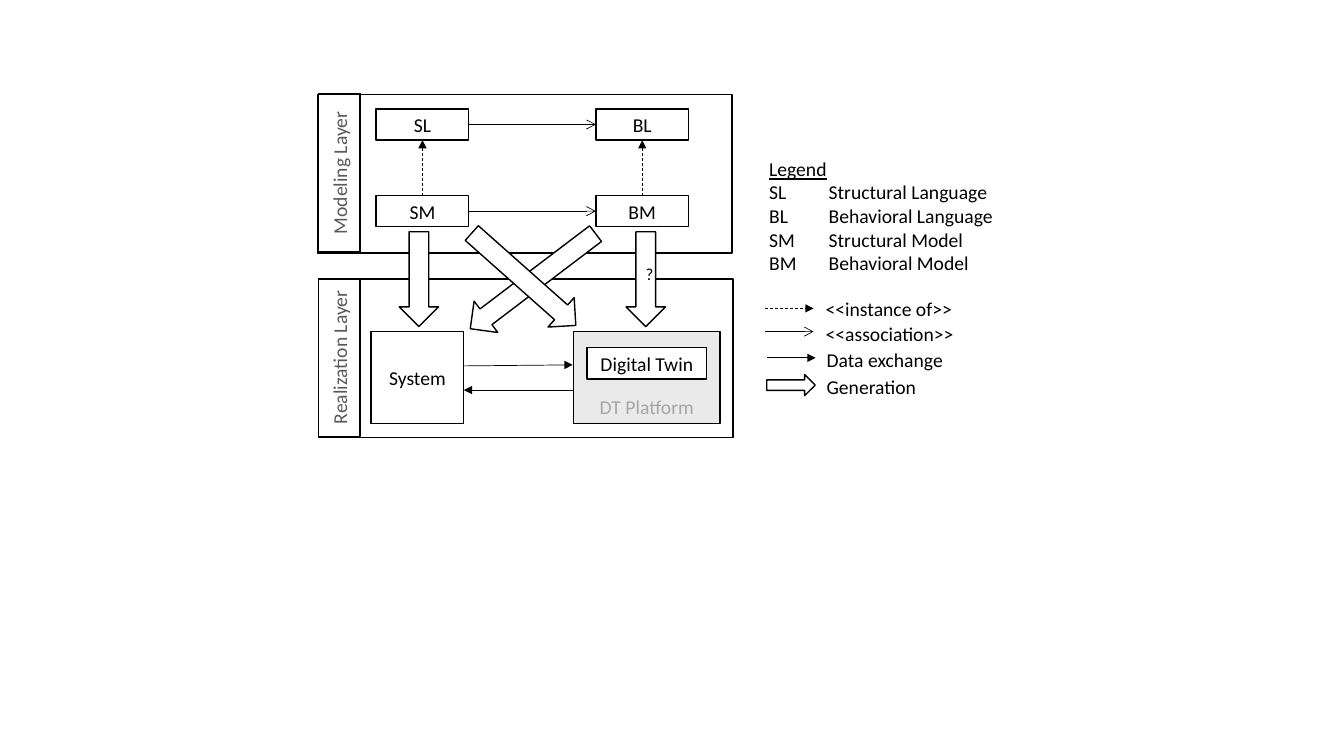
from lxml import etree
from pptx import Presentation
from pptx import util as u
from pptx.dml.color import RGBColor
from pptx.enum import dml, shapes, text
from pptx.oxml.ns import qn

Inches = u.Inches
COLORS = {
    "black": "000000",
    "white": "FFFFFF",
    "layer": "595959",
    "platform_fill": "BFBFBF",
    "platform_text": "A6A6A6",
}
RECTANGLE = shapes.MSO_SHAPE.RECTANGLE
DOWN_ARROW = shapes.MSO_SHAPE.DOWN_ARROW
TOP, LEFT, BOTTOM, RIGHT = range(4)


def color(name):
    return RGBColor.from_string(COLORS[name])


def write_text(shape, content, size=14, ink="black", anchor="MIDDLE", align="CENTER", wrap=True):
    frame = shape.text_frame
    frame.word_wrap = wrap
    frame.vertical_anchor = text.MSO_ANCHOR[anchor]
    for index, row in enumerate(content.split("\n")):
        paragraph = frame.add_paragraph() if index else frame.paragraphs[0]
        paragraph.alignment = text.PP_ALIGN[align]
        run = paragraph.add_run()
        run.text = row
        run.font.name = "Calibri"
        run.font.size = u.Pt(size)
        run.font.color.rgb = color(ink)


def add_block(slide, left, top, width, height, label="", kind=RECTANGLE, fill="white", rotation=0, **style):
    shape = slide.shapes.add_shape(kind, Inches(left), Inches(top), Inches(width), Inches(height))
    shape.shadow.inherit = False
    shape.rotation = rotation
    if fill:
        shape.fill.solid()
        shape.fill.fore_color.rgb = color(fill)
    else:
        shape.fill.background()
    shape.line.color.rgb = color("black")
    shape.line.width = u.Pt(1)
    if label:
        write_text(shape, label, **style)
    return shape


def add_label(slide, left, top, width, height, content, **style):
    box = slide.shapes.add_textbox(Inches(left), Inches(top), Inches(width), Inches(height))
    write_text(box, content, align="LEFT", **style)
    return box


def add_arrow(slide, x1, y1, x2, y2, head="triangle", dashed=False):
    connector = slide.shapes.add_connector(
        shapes.MSO_CONNECTOR.STRAIGHT, Inches(x1), Inches(y1), Inches(x2), Inches(y2)
    )
    connector.line.color.rgb = color("black")
    connector.line.width = u.Pt(0.5)
    if dashed:
        connector.line.dash_style = dml.MSO_LINE.DASH
    properties = connector._element.spPr
    etree.SubElement(properties.find(qn("a:ln")), qn("a:tailEnd"), type=head)
    etree.SubElement(properties, qn("a:effectLst"))
    return connector


def join(slide, start, start_side, end, end_side, **style):
    connector = add_arrow(slide, 0, 0, 1, 1, **style)
    connector.begin_connect(start, start_side)
    connector.end_connect(end, end_side)


def set_opacity(shape, percent):
    tint = shape._element.spPr.find(qn("a:solidFill"))[0]
    etree.SubElement(tint, qn("a:alpha"), val=str(percent * 1000))


def add_tab_stop(paragraph, position):
    stops = etree.SubElement(paragraph._p.get_or_add_pPr(), qn("a:tabLst"))
    etree.SubElement(stops, qn("a:tab"), pos=str(Inches(position)), algn="l")


def add_layers(slide):
    layers = (("Realization Layer", 3.16, 2.77), ("Modeling Layer", 3.15, 0.94))
    for name, left, top in layers:
        add_block(slide, left, top, 4.11, 1.57)
    for name, left, top in layers:
        add_block(slide, 2.58, top + 0.57, 1.57, 0.41, name, fill=None, rotation=270, ink="layer")


def add_models(slide):
    boxes = {
        name: add_block(slide, left, top, 0.92, 0.31, name)
        for name, left, top in (
            ("SL", 3.73, 1.08), ("BL", 5.91, 1.08), ("SM", 3.73, 1.94), ("BM", 5.91, 1.94)
        )
    }
    for start, end in (("SL", "BL"), ("SM", "BM")):
        join(slide, boxes[start], RIGHT, boxes[end], LEFT, head="arrow")
    for model, language in (("BM", "BL"), ("SM", "SL")):
        join(slide, boxes[model], TOP, boxes[language], BOTTOM, dashed=True)


def add_realization(slide):
    platform = add_block(
        slide, 5.69, 3.29, 1.45, 0.91, "DT Platform",
        fill="platform_fill", ink="platform_text", anchor="BOTTOM",
    )
    set_opacity(platform, 32)
    add_block(slide, 3.68, 3.29, 0.92, 0.91, "System")
    add_block(slide, 5.82, 3.45, 1.19, 0.31, "Digital Twin")
    add_arrow(slide, 4.6, 3.63, 5.68, 3.62)
    add_arrow(slide, 5.69, 3.87, 4.6, 3.87)


def add_generation(slide):
    for left, top, height, rotation, label in (
        (3.96, 2.3, 0.94, 0, ""),
        (5.09, 2.01, 1.56, 52.8, ""),
        (5, 2.08, 1.38, 311.6, ""),
        (6.21, 2.3, 0.94, 0, "?"),
    ):
        add_block(slide, left, top, 0.39, height, label, DOWN_ARROW, rotation=rotation, size=12)


def add_legend(slide):
    terms = add_label(
        slide, 7.53, 1.46, 2.65, 1.36,
        "Legend\nSL\tStructural Language\nBL\tBehavioral Language\n"
        "SM\tStructural Model\nBM\tBehavioral Model",
    )
    paragraphs = terms.text_frame.paragraphs
    paragraphs[0].runs[0].font.underline = True
    for paragraph in paragraphs:
        add_tab_stop(paragraph, 0.59)

    for name, left, top, width in (
        ("<<instance of>>", 8.09, 2.9, 1.47),
        ("<<association>>", 8.09, 3.14, 1.49),
        ("Data exchange", 8.1, 3.4, 1.37),
        ("Generation", 8.1, 3.67, 1.1),
    ):
        add_label(slide, left, top, width, 0.34, name, anchor="TOP", wrap=False)
    for left, y, style in (
        (7.59, 3.06, {"dashed": True}),
        (7.59, 3.29, {"head": "arrow"}),
        (7.61, 3.55, {}),
    ):
        add_arrow(slide, left, y, left + 0.48, y, **style)
    add_block(slide, 7.74, 3.58, 0.21, 0.48, kind=DOWN_ARROW, rotation=270)


def main():
    presentation = Presentation()
    presentation.slide_width = Inches(13.33)
    presentation.slide_height = Inches(7.5)
    slide = presentation.slides.add_slide(presentation.slide_layouts[6])
    add_layers(slide)
    add_models(slide)
    add_realization(slide)
    add_generation(slide)
    add_legend(slide)
    presentation.save("out.pptx")


if __name__ == "__main__":
    main()
